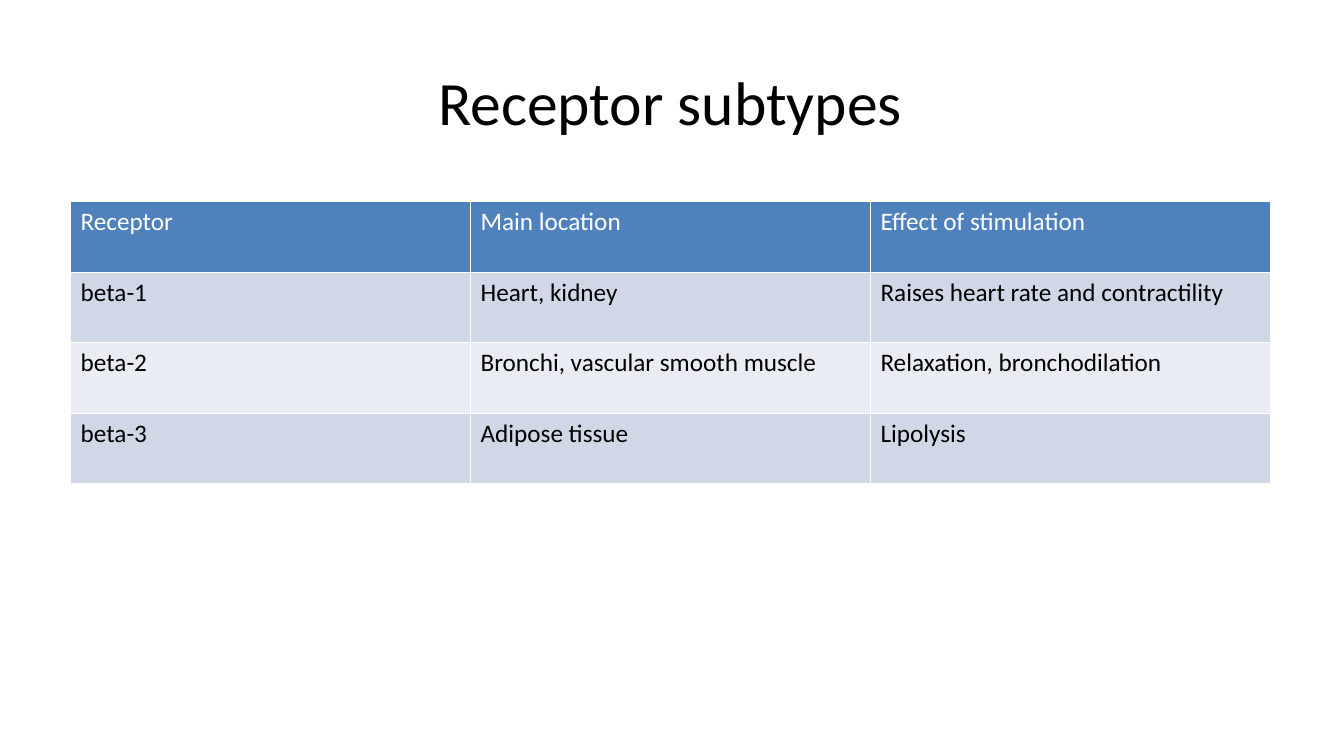
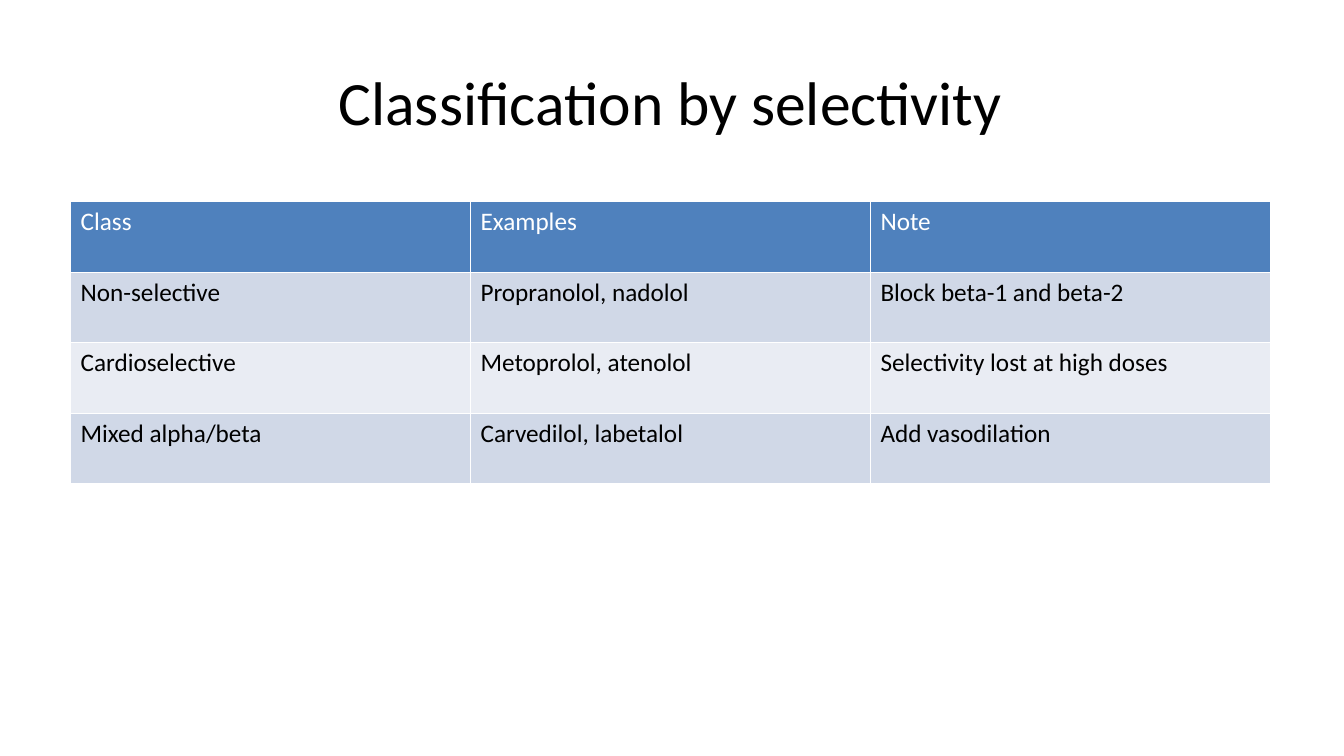
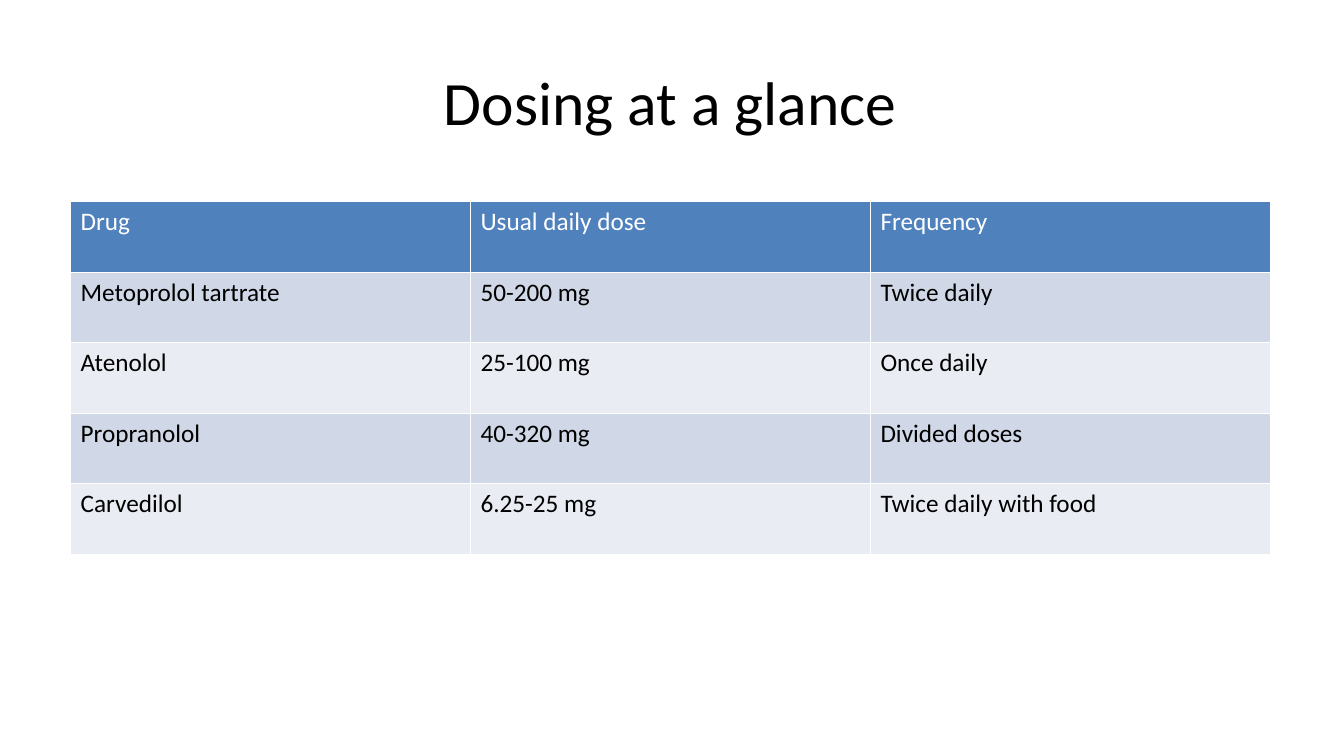
"""Build three slides of tables on beta blockers."""
import pptx
import pptx.dml.color
import pptx.enum.text
import pptx.oxml
import pptx.oxml.ns
import pptx.util

Inches = pptx.util.Inches
Pt = pptx.util.Pt

COLORS = {
    "text": "000000",
    "head": "4F81BD",
    "odd": "D0D8E7",
    "even": "E9ECF3",
    "white": "FFFFFF",
}
FONT = "Calibri"
LEFT, WIDTH = 0.7, 11.9
TOP, ROW = 2, 0.7
RULE = 0.96

SLIDES = [
    ("Receptor subtypes", [
        ("Receptor", "Main location", "Effect of stimulation"),
        ("beta-1", "Heart, kidney", "Raises heart rate and contractility"),
        ("beta-2", "Bronchi, vascular smooth muscle", "Relaxation, bronchodilation"),
        ("beta-3", "Adipose tissue", "Lipolysis"),
    ]),
    ("Classification by selectivity", [
        ("Class", "Examples", "Note"),
        ("Non-selective", "Propranolol, nadolol", "Block beta-1 and beta-2"),
        ("Cardioselective", "Metoprolol, atenolol", "Selectivity lost at high doses"),
        ("Mixed alpha/beta", "Carvedilol, labetalol", "Add vasodilation"),
    ]),
    ("Dosing at a glance", [
        ("Drug", "Usual daily dose", "Frequency"),
        ("Metoprolol tartrate", "50-200 mg", "Twice daily"),
        ("Atenolol", "25-100 mg", "Once daily"),
        ("Propranolol", "40-320 mg", "Divided doses"),
        ("Carvedilol", "6.25-25 mg", "Twice daily with food"),
    ]),
]


def color(name):
    return pptx.dml.color.RGBColor.from_string(COLORS[name])


def style(para, size, ink):
    font = para.font
    font.name = FONT
    font.size = Pt(size)
    font.bold = False
    font.color.rgb = color(ink)


def add_title(slide, text):
    box = slide.shapes.add_textbox(Inches(LEFT), Inches(0.4), Inches(WIDTH), Inches(1.2))
    frame = box.text_frame
    frame.word_wrap = True
    frame.vertical_anchor = pptx.enum.text.MSO_ANCHOR.MIDDLE
    para = frame.paragraphs[0]
    para.text = text
    para.alignment = pptx.enum.text.PP_ALIGN.CENTER
    style(para, 44, "text")


def add_rules(cell):
    props = cell._tc.get_or_add_tcPr()
    for side in ("lnL", "lnR", "lnT", "lnB"):
        props.append(pptx.oxml.parse_xml(
            f'<a:{side} {pptx.oxml.ns.nsdecls("a")} w="{Pt(RULE)}"><a:solidFill>'
            f'<a:srgbClr val="{COLORS["white"]}"/></a:solidFill></a:{side}>'))


def fill_cell(cell, text, fill, ink):
    add_rules(cell)
    cell.fill.solid()
    cell.fill.fore_color.rgb = color(fill)
    para = cell.text_frame.paragraphs[0]
    para.text = text
    style(para, 18, ink)


def add_grid(slide, rows):
    table = slide.shapes.add_table(
        len(rows), len(rows[0]), Inches(LEFT), Inches(TOP),
        Inches(WIDTH), Inches(ROW * len(rows))).table
    table.horz_banding = False
    for i, row in enumerate(rows):
        if i == 0:
            fill, ink = "head", "white"
        else:
            fill, ink = ("odd" if i % 2 else "even"), "text"
        for j, text in enumerate(row):
            fill_cell(table.cell(i, j), text, fill, ink)


def main():
    deck = pptx.Presentation()
    deck.slide_width = Inches(13.33)
    deck.slide_height = Inches(7.5)
    for title, rows in SLIDES:
        slide = deck.slides.add_slide(deck.slide_layouts[6])
        add_title(slide, title)
        add_grid(slide, rows)
    deck.save("out.pptx")


if __name__ == "__main__":
    main()
